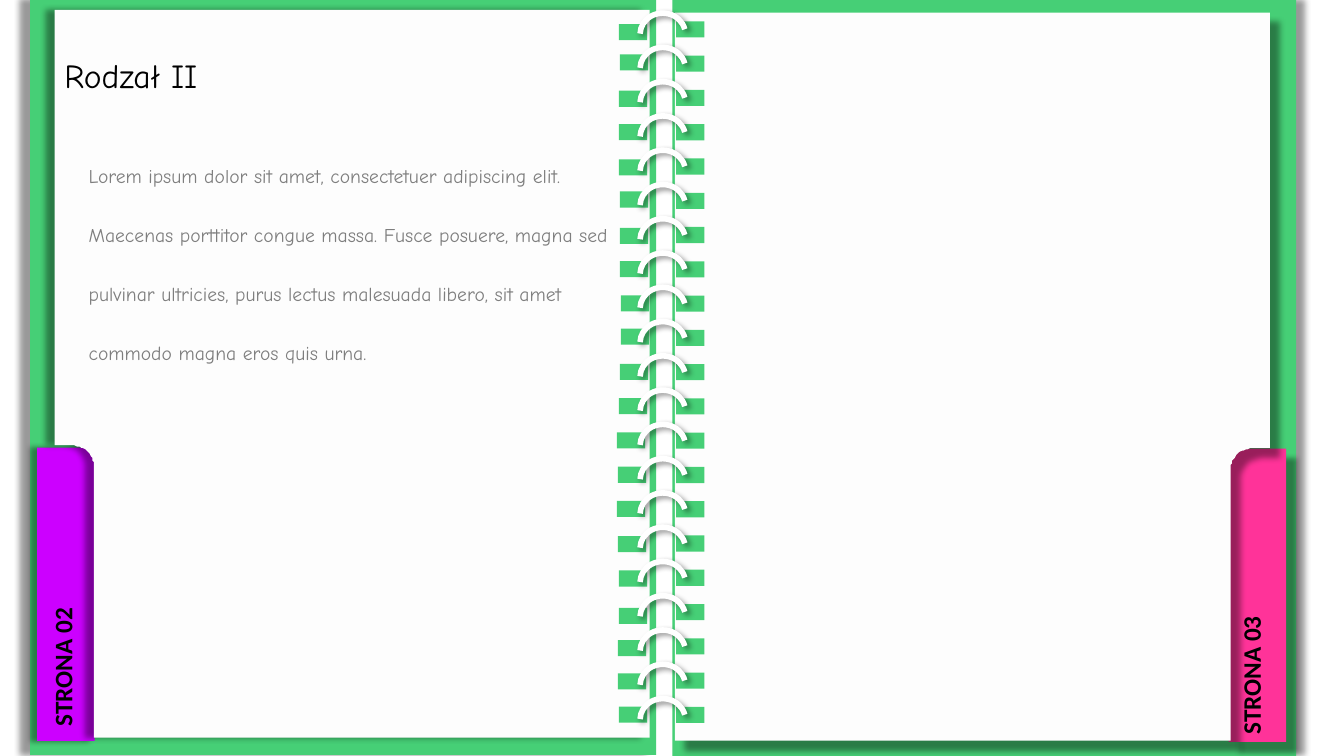
from math import cos, sin, radians
from lxml.etree import SubElement
from pptx import Presentation
from pptx.dml.color import RGBColor
from pptx.enum.shapes import MSO_SHAPE as Preset
from pptx.enum.text import MSO_AUTO_SIZE as AutoSize, PP_ALIGN as Align
from pptx.oxml.ns import qn
from pptx.util import Pt

COLORS = {"cover": "46CF76", "paper": "FDFDFD", "left_tab": "CC00FF",
          "right_tab": "FF3399", "ring": "FFFFFF", "ink": "000000"}

deck = Presentation()
deck.slide_width, deck.slide_height = Pt(960), Pt(540)
slide = deck.slides.add_slide(deck.slide_layouts[6])
shapes = slide.shapes


def style(part, fill=None, line=None, shadow=None):
    part.shadow.inherit = False
    if fill:
        part.fill.solid()
        part.fill.fore_color.rgb = RGBColor.from_string(COLORS[fill])
    else:
        part.fill.background()
    if line:
        part.line.color.rgb = RGBColor.from_string(COLORS[line])
        part.line.width = Pt(4)
    else:
        part.line.fill.background()
    if shadow:
        distance, angle = shadow
        effects = part._element.spPr.find(qn("a:effectLst"))
        outer = SubElement(effects, qn("a:outerShdw"), blurRad=str(Pt(4)), dist=str(Pt(distance)),
                           dir=str(angle * 60000), algn="ctr", rotWithShape="0")
        tint = SubElement(outer, qn("a:srgbClr"), val=COLORS["ink"])
        SubElement(tint, qn("a:alpha"), val="40000")


def write(text, box, size, font, bold=False, align=None, spacing=None, alpha=None, vertical=False):
    frame = shapes.add_textbox(*map(Pt, box)).text_frame
    frame.word_wrap = True
    frame.auto_size = AutoSize.SHAPE_TO_FIT_TEXT
    if vertical:
        frame._txBody.bodyPr.set("vert", "vert270")
    paragraph = frame.paragraphs[0]
    paragraph.alignment = align
    paragraph.line_spacing = spacing
    run = paragraph.add_run()
    run.text = text
    run.font.size, run.font.name, run.font.bold = Pt(size), font, bold
    run.font.color.rgb = RGBColor.from_string(COLORS["ink"])
    if alpha:
        ink = run._r.rPr.find(qn("a:solidFill")).find(qn("a:srgbClr"))
        SubElement(ink, qn("a:alpha"), val=str(alpha * 1000))


for left, top, width, shadow in [(21.6, -0.7, 447.1, (7, 180)), (480.2, 0, 445.7, (6, 0))]:
    cover = shapes.add_shape(Preset.RECTANGLE, Pt(left), Pt(top), Pt(width), Pt(540))
    style(cover, "cover", shadow=shadow)

RADIUS = 15.1
corner = [(894.2 + RADIUS * cos(radians(a)), 335.5 + RADIUS * sin(radians(a)))
          for a in range(270, 179, -6)]
page_outline = [(482.4, 9.4), (907.2, 9.4), (907.2, 320.4), *corner, (879.1, 529.2), (482.4, 529.2)]
mirrored_outline = [(946.1 - x, y - 2.2) for x, y in page_outline]

for color, tab_at, tab_shadow, outline, page_shadow, label, label_at in [
    ("right_tab", (877.7, 320.4), (10, 45), page_outline, (10, 45), "STRONA 03", (879.1, 431.3)),
    ("left_tab", (26.6, 319.7), (5, 180), mirrored_outline, (6, 180), "STRONA 02", (30.2, 425.5)),
]:
    tab = shapes.add_shape(Preset.RECTANGLE, *map(Pt, tab_at), Pt(41), Pt(209.5))
    style(tab, color, shadow=tab_shadow)
    pen = shapes.build_freeform(*outline[0], scale=12700)
    pen.add_line_segments(outline[1:], close=True)
    style(pen.convert_to_shape(), "paper", shadow=page_shadow)
    write(label, (*label_at, 36, 102.2), 18, "Calibri", bold=True, align=Align.CENTER, vertical=True)

RING_PITCH = 24.48
left_holes = [
    (442.1, 17.3), (442.8, 38.9), (442.1, 64.8), (442.1, 88.6), (442.1, 113.8), (442.8, 136.8),
    (442.8, 162.7), (442.8, 186.5), (443.5, 211), (443.5, 234.7), (442.8, 259.9), (442.1, 284.4),
    (440.6, 308.9), (441.4, 333.4), (440.6, 357.8), (441.4, 383), (442.1, 407.5), (442.1, 434.2),
    (441.4, 457.2), (441.4, 481), (442.1, 504.7)]
for index, left_hole in enumerate(left_holes):
    drop = index * RING_PITCH
    for hole_at in (left_hole, (483, 15.3 + drop)):
        hole = shapes.add_shape(Preset.RECTANGLE, *map(Pt, hole_at), Pt(20.2), Pt(11.5))
        style(hole, "cover")
    ring = shapes.add_shape(Preset.ARC, Pt(457.2), Pt(9.4 + drop), Pt(32.4), Pt(30.2))
    ring.adjustments[0], ring.adjustments[1] = 109, 208.26
    style(ring, line="ring", shadow=(3, 45))

write("Rodzał II", (38.9, 36, 244.1, 36), 24, "Comic Neue")
write("Lorem ipsum dolor sit amet, consectetuer adipiscing elit. Maecenas porttitor congue massa. "
      "Fusce posuere, magna sed pulvinar ultricies, purus lectus malesuada libero, sit amet "
      "commodo magna eros quis urna.",
      (56.2, 88.6, 391, 213.1), 14, "Comic Neue", spacing=2.5, alpha=50)

deck.save("out.pptx")
